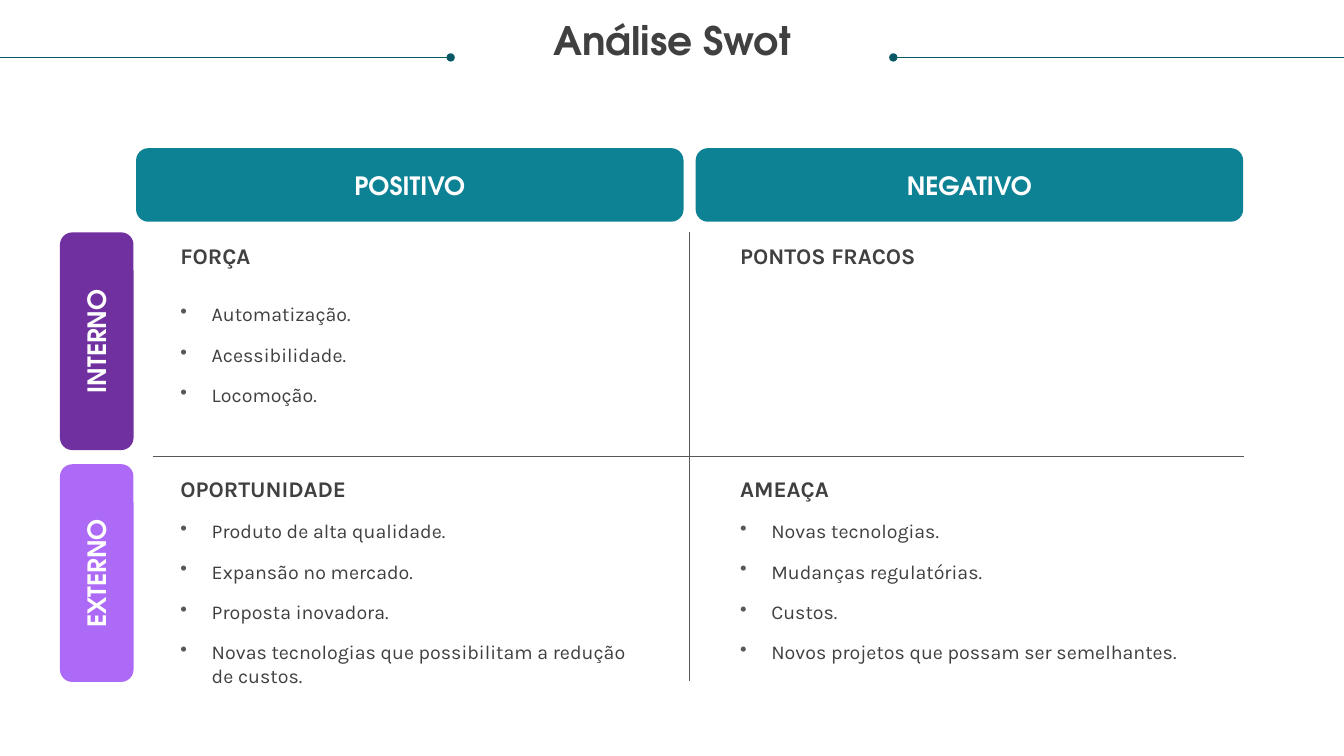
from lxml import etree
from pptx import Presentation
from pptx.dml.color import RGBColor
from pptx.enum.shapes import MSO_CONNECTOR, MSO_SHAPE
from pptx.enum.text import MSO_ANCHOR, MSO_AUTO_SIZE, PP_ALIGN
from pptx.oxml.ns import qn
from pptx.util import Inches, Pt

STRAIGHT = MSO_CONNECTOR.STRAIGHT
ROUNDED = MSO_SHAPE.ROUNDED_RECTANGLE
TOP, MIDDLE = MSO_ANCHOR.TOP, MSO_ANCHOR.MIDDLE
CENTER, LEFT = PP_ALIGN.CENTER, PP_ALIGN.LEFT

WHITE = RGBColor(0xFF, 0xFF, 0xFF)
TEXT = RGBColor(0x40, 0x40, 0x40)
GREY = RGBColor(0x58, 0x58, 0x58)
DARK_TEAL = RGBColor(0x08, 0x57, 0x64)
TEAL = RGBColor(0x0D, 0x82, 0x95)
PURPLE = RGBColor(0x70, 0x30, 0xA0)
LILAC = RGBColor(0xAD, 0x6A, 0xF6)

HEADING_FONT, BODY_FONT = "TeX Gyre Adventor", "Karla"
TITLE_STYLE = {"name": HEADING_FONT, "size": Pt(28), "bold": True}
LABEL_STYLE = {"name": HEADING_FONT, "size": Pt(18), "bold": True}
HEAD_STYLE = {"name": BODY_FONT, "size": Pt(16), "bold": True}
ITEM_STYLE = {"name": BODY_FONT, "size": Pt(14), "bold": False}


def write(para, text, style, color, align=LEFT):
    para.alignment = align
    span = para.add_run()
    span.text = text
    for name, value in style.items():
        setattr(span.font, name, value)
    span.font.color.rgb = color


def clear_frame(box):
    """Make a wrapping, top-anchored frame without margins."""
    frame = box.text_frame
    settings = {"word_wrap": True, "auto_size": MSO_AUTO_SIZE.NONE, "vertical_anchor": TOP,
                "margin_left": 0, "margin_right": 0, "margin_top": 0, "margin_bottom": 0}
    for name, value in settings.items():
        setattr(frame, name, value)
    return frame


deck = Presentation()
deck.slide_width, deck.slide_height = Inches(13.33), Inches(7.5)
page = deck.slides.add_slide(deck.slide_layouts[5])

# Title
title = page.shapes.title
title.left, title.top = Inches(0.25), Inches(0.21)
title.width, title.height = Inches(12.83), Inches(0.73)
title_para = clear_frame(title).paragraphs[0]
title_para.line_spacing = 0.9
write(title_para, "Análise Swot", TITLE_STYLE, TEXT, CENTER)

# Title rules with dots, then the cross between the quadrants
lines = [
    (8.86, 0.57, 13.33, 0.57, DARK_TEAL, "headEnd"),
    (0, 0.57, 4.47, 0.57, DARK_TEAL, "tailEnd"),
    (1.52, 4.53, 12.34, 4.53, GREY, None),
    (6.84, 2.3, 6.84, 6.76, GREY, None),
]
for x1, y1, x2, y2, color, dot_end in lines:
    rule = page.shapes.add_connector(STRAIGHT, Inches(x1), Inches(y1), Inches(x2), Inches(y2))
    rule.line.color.rgb = color
    rule.line.width = Pt(0.5)
    properties = rule._element.spPr
    if dot_end:
        etree.SubElement(properties.find(qn("a:ln")), qn(f"a:{dot_end}"), type="oval")
    etree.SubElement(properties, qn("a:effectLst"))

# Column and row labels
labels = [
    ("POSITIVO", 1.35, 1.47, 5.43, 0, TEAL),
    ("NEGATIVO", 6.9, 1.47, 5.43, 0, TEAL),
    ("INTERNO", -0.12, 3.02, 2.16, 270, PURPLE),
    ("EXTERNO", -0.12, 5.32, 2.16, 270, LILAC),
]
for text, left, top, width, rotation, fill in labels:
    label = page.shapes.add_shape(ROUNDED, Inches(left), Inches(top), Inches(width), Inches(0.73))
    label.rotation = rotation
    label.shadow.inherit = False
    label.fill.solid()
    label.fill.fore_color.rgb = fill
    label.line.fill.background()
    label.text_frame.vertical_anchor = MIDDLE
    write(label.text_frame.paragraphs[0], text, LABEL_STYLE, WHITE, CENTER)

# Quadrants: heading, left, heading top, list top, items
quadrants = [
    ("FORÇA", 1.79, 2.4, 3.0, ["Automatização.", "Acessibilidade.", "Locomoção."]),
    ("PONTOS FRACOS", 7.34, 2.4, None, []),
    ("OPORTUNIDADE", 1.79, 4.71, 5.15,
     ["Produto de alta qualidade.", "Expansão no mercado.", "Proposta inovadora.",
      "Novas tecnologias que possibilitam a redução de custos."]),
    ("AMEAÇA", 7.34, 4.71, 5.15,
     ["Novas tecnologias.", "Mudanças regulatórias.", "Custos.",
      "Novos projetos que possam ser semelhantes."]),
]
for heading, left, heading_top, list_top, items in quadrants:
    heading_box = page.shapes.add_textbox(
        Inches(left), Inches(heading_top), Inches(4.55), Inches(0.27))
    write(clear_frame(heading_box).paragraphs[0], heading, HEAD_STYLE, TEXT)
    if not items:
        continue
    list_box = page.shapes.add_textbox(
        Inches(left), Inches(list_top), Inches(4.55), Inches(0.4 * len(items) + 0.1))
    frame = clear_frame(list_box)
    for index, item in enumerate(items):
        para = frame.add_paragraph() if index else frame.paragraphs[0]
        para.space_before = Pt(12)
        write(para, item, ITEM_STYLE, TEXT)
        layout = para._p.get_or_add_pPr()
        layout.set("marL", str(Inches(0.31)))
        layout.set("indent", str(-Inches(0.31)))
        bullet_color = etree.SubElement(layout, qn("a:buClr"))
        etree.SubElement(bullet_color, qn("a:srgbClr"), val=str(GREY))
        etree.SubElement(layout, qn("a:buChar"), char="•")

deck.save("out.pptx")
